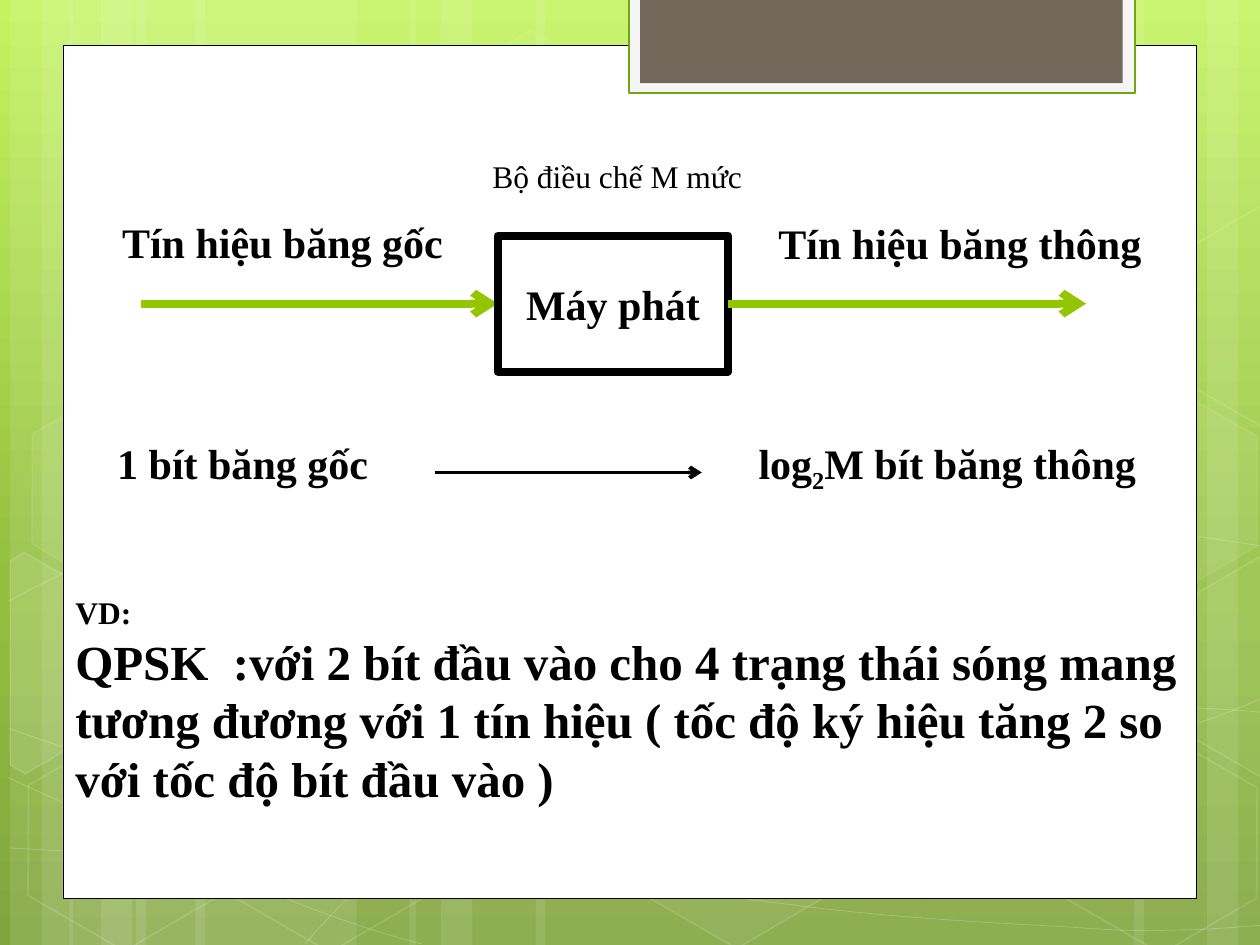
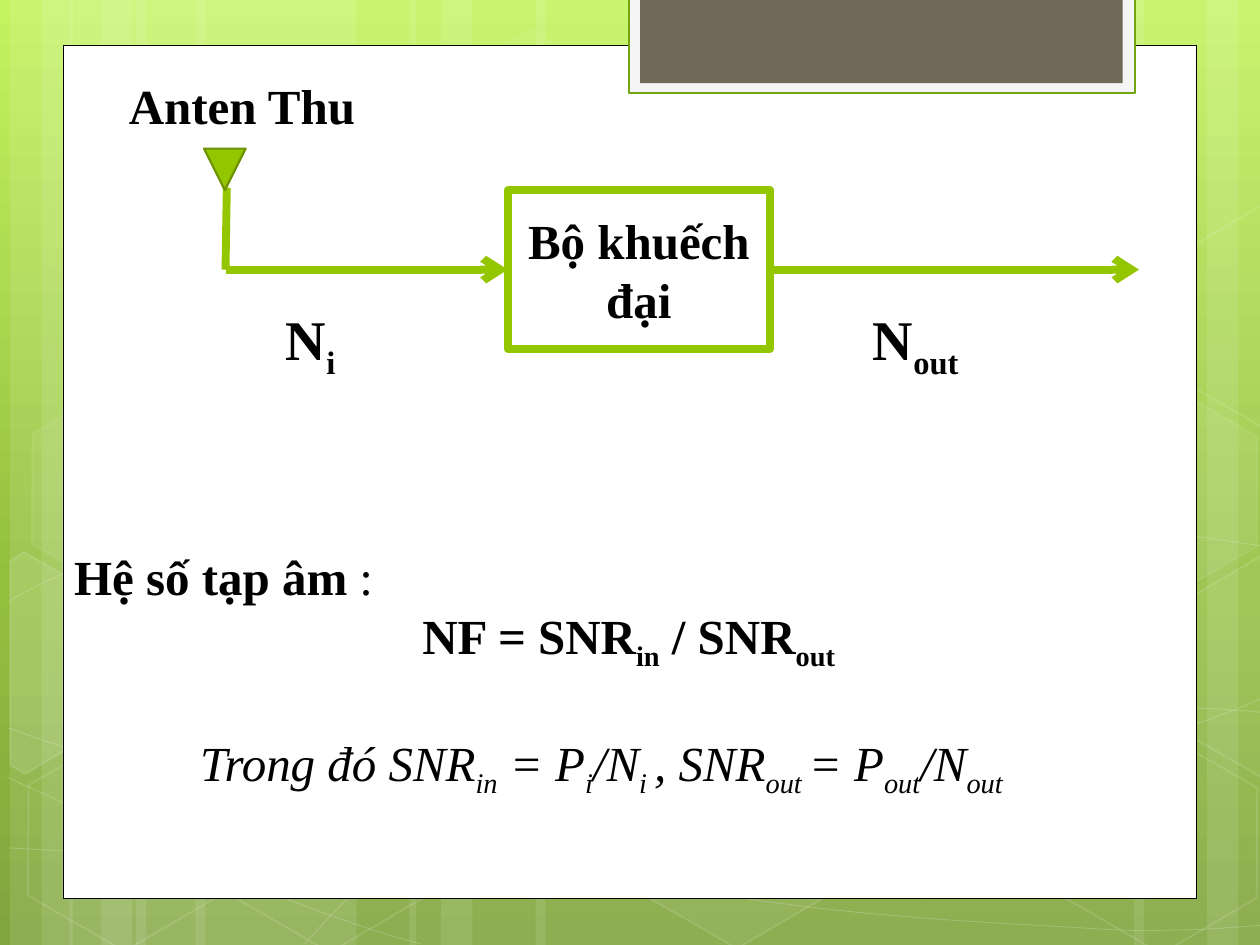
from copy import deepcopy
from math import cos, radians, sin

from pptx import Presentation
from pptx.dml.color import RGBColor
from pptx.enum.shapes import MSO_CONNECTOR, MSO_SHAPE
from pptx.enum.text import MSO_ANCHOR, PP_ALIGN
from pptx.oxml.ns import qn
from pptx.oxml.xmlchemy import OxmlElement
from pptx.util import Inches, Pt

RECT, HEX = MSO_SHAPE.RECTANGLE, MSO_SHAPE.HEXAGON
MERGE = MSO_SHAPE.FLOWCHART_MERGE
STRAIGHT = MSO_CONNECTOR.STRAIGHT
LEFT, CENTER = PP_ALIGN.LEFT, PP_ALIGN.CENTER
MIDDLE = MSO_ANCHOR.MIDDLE

FONT = "Times New Roman"
WHITE, BLACK, GREEN = "FFFFFF", "000000", "94C600"
SKY = [(0, "C3F35F"), (0.62, "93BF3F"), (1, "81A53E")]
TILT = 30

# left, width
BANDS = [
    (1.08, 1.75), (0.08, 0.5), (0.33, 0.83), (1.55, 1.75),
    (0.55, 0.5), (0.8, 0.83), (7.33, 1.75), (9.58, 0.5),
    (9, 0.83), (4.25, 3.08), (3.25, 0.5), (3.5, 0.83),
]
# start point, then two handles and an end point for each curve;
# three equal points make a straight piece
WAVES = [
    [(0.07, 6.73), (0.61, 6.76), (1.15, 6.79), (1.9, 6.78),
     (2.65, 6.77), (3.58, 6.75), (4.58, 6.65),
     (5.58, 6.55), (7, 6.36), (7.92, 6.17),
     (8.83, 5.98), (9.77, 5.68), (10.07, 5.51)],
    [(0.07, 4.77), (0.36, 4.61), (0.65, 4.46), (1.21, 4.31),
     (1.78, 4.16), (2.59, 3.94), (3.47, 3.87),
     (4.36, 3.8), (5.44, 3.79), (6.54, 3.87),
     (7.64, 3.95), (9.47, 4.26), (10.07, 4.34)],
    [(0.06, 6.17), (1.27, 6.72), (2.47, 7.27), (3.34, 7.49)],
    [(0.07, 5.78), (0.38, 5.89), (0.7, 6), (1.28, 6.16),
     (1.86, 6.31), (2.73, 6.56), (3.57, 6.73),
     (4.4, 6.9), (5.45, 7.08), (6.28, 7.18),
     (7.11, 7.29), (8, 7.33), (8.53, 7.36),
     (9.05, 7.4), (9.19, 7.38), (9.45, 7.38),
     (9.71, 7.37), (9.89, 7.35), (10.07, 7.34)],
    [(2.42, 7.49), (2.6, 7.29), (2.78, 7.09), (3.02, 6.91),
     (3.26, 6.73), (3.6, 6.53), (3.88, 6.39),
     (4.16, 6.25), (4.33, 6.19), (4.7, 6.09),
     (5.06, 5.99), (5.73, 5.85), (6.08, 5.78),
     (6.44, 5.71), (6.49, 5.71), (6.8, 5.69),
     (7.11, 5.66), (7.6, 5.63), (7.94, 5.62),
     (8.29, 5.61), (8.86, 5.62), (8.86, 5.62),
     (9.53, 5.62), (9.53, 5.62), (9.53, 5.62),
     (9.71, 5.63), (9.88, 5.64), (9.97, 5.65),
     (10.06, 5.66), (10.03, 5.65), (10.06, 5.66)],
]
# left, top, fill opacity, line opacity
CELLS = [
    (3.34, 0.36, 4, 8), (4.97, 5.89, 6, 12), (0.11, 5.91, 0, 12),
    (0.14, 3.12, 7, 8), (1.74, 5.92, 0, 12), (7.53, 4.53, 10, 12),
    (8.34, 5.93, 0, 12), (8.34, 3.14, 7, 8),
]
# cells cut by the slide edge: centre, fill opacity, corners
CUTS = [
    ((0.36, 5.35), 10, [(0.08, 4.45), (0.19, 4.38), (0.96, 4.82),
                        (0.95, 5.7), (0.2, 6.14), (0.08, 6.07)]),
    ((9.85, 5.2), 4, [(9.26, 4.85), (10.01, 4.41), (10.09, 4.46),
                      (10.09, 6.13), (10.02, 6.17), (9.26, 5.73)]),
    ((9.85, 2.41), 0, [(9.26, 2.07), (10.01, 1.63), (10.1, 1.68),
                       (10.09, 3.35), (10.02, 3.39), (9.26, 2.95)]),
]


def rgb(code):
    return RGBColor.from_string(code)


def fade(props, alpha):
    """Make the solid fill held by props partly transparent."""
    tag = OxmlElement("a:alpha")
    tag.set("val", str(alpha * 1000))
    props.find(qn("a:solidFill"))[0].append(tag)


def paint(shape, fill=None, line=None, width=1, alpha=100, edge=100):
    """Set fill and line; alpha and edge are their opacities in percent."""
    shape.shadow.inherit = False
    props = shape.element.spPr
    if fill and alpha:
        shape.fill.solid()
        shape.fill.fore_color.rgb = rgb(fill)
        if alpha < 100:
            fade(props, alpha)
    else:
        shape.fill.background()
    if line:
        shape.line.color.rgb = rgb(line)
        shape.line.width = Pt(width)
        if edge < 100:
            fade(props.find(qn("a:ln")), edge)
    else:
        shape.line.fill.background()
    return shape


def form(slide, kind, at, *args, **style):
    shape = slide.shapes.add_shape(kind, *map(Inches, at))
    return paint(shape, *args, **style)


def trace(slide, points, close, **style):
    spots = [(Inches(x), Inches(y)) for x, y in points]
    pen = slide.shapes.build_freeform(*spots[0], scale=1.0)
    pen.add_line_segments(spots[1:], close=close)
    return paint(pen.convert_to_shape(), **style)


def wave(slide, nodes):
    """Draw the nodes, then join each three steps into one curve."""
    shape = trace(slide, nodes, False, line=WHITE, width=0.5, edge=20)
    steps = list(shape.element.iter(qn("a:lnTo")))
    for k in range(0, len(steps), 3):
        first, *rest = steps[k:k + 3]
        if len(set(nodes[k + 1:k + 4])) > 1:
            curve = OxmlElement("a:cubicBezTo")
            first.addprevious(curve)
            for step in (first, *rest):
                curve.append(step[0])
            rest.append(first)
        for step in rest:
            step.getparent().remove(step)


def cut(slide, mid, alpha, corners):
    """Draw a tilted cell from its corners as they lie on the slide."""
    c, s = cos(radians(TILT)), sin(radians(TILT))
    flat = []
    for x, y in corners + corners[:1]:
        dx, dy = x - mid[0], y - mid[1]
        flat.append((mid[0] + dx * c + dy * s, mid[1] - dx * s + dy * c))
    cell = trace(slide, flat, True, fill=WHITE, line=WHITE,
                 alpha=alpha, edge=12)
    cell.rotation = TILT


def wire(slide, start, end, color=GREEN, width=4.5, head=True):
    link = slide.shapes.add_connector(
        STRAIGHT, *map(Inches, (*start, *end)))
    link.line.color.rgb = rgb(color)
    link.line.width = Pt(width)
    props = link.element.spPr
    if head:
        tip = OxmlElement("a:tailEnd")
        tip.set("type", "arrow")
        props.find(qn("a:ln")).append(tip)
    props.append(OxmlElement("a:effectLst"))
    return link


def write(para, runs, size, align=LEFT):
    """Add (text, marks) runs; marks: b bold, i italic, s subscript."""
    para.alignment = align
    for text, marks in runs:
        run = para.add_run()
        run.text = text
        font = run.font
        font.name, font.size = FONT, Pt(size)
        font.color.rgb = rgb(BLACK)
        font.bold, font.italic = "b" in marks, "i" in marks
        if "s" in marks:
            run.font._element.set("baseline", "-25000")


def label(slide, at, runs, size, align=LEFT):
    frame = slide.shapes.add_textbox(*map(Inches, at)).text_frame
    frame.word_wrap = True
    write(frame.paragraphs[0], runs, size, align)
    return frame


def block(slide, at, text, size, line):
    shape = form(slide, RECT, at, WHITE, line, 4.5)
    frame = shape.text_frame
    frame.word_wrap = True
    frame.vertical_anchor = MIDDLE
    write(frame.paragraphs[0], [(text, "b")], size, CENTER)
    return shape


def sky(slide):
    """Fill the background with the three-stop gradient."""
    fill = slide.background.fill
    fill.gradient()
    fill.gradient_angle = 270
    first = fill.gradient_stops[0]._gs
    first.addnext(deepcopy(first))
    for stop, (pos, color) in zip(fill.gradient_stops, SKY):
        stop.position = pos
        stop.color.rgb = rgb(color)


def base(deck):
    """Add a slide with the shared backdrop, page and tab."""
    slide = deck.slides.add_slide(deck.slide_layouts[6])
    sky(slide)
    for left, width in BANDS:
        form(slide, RECT, (left, 0, width, 7.5), WHITE, alpha=10)
    for nodes in WAVES:
        wave(slide, nodes)
    for left, top, alpha, edge in CELLS:
        cell = form(slide, HEX, (left, top, 1.75, 1.52), WHITE, WHITE,
                    alpha=alpha, edge=edge)
        cell.adjustments[0] = 0.285
        cell.rotation = TILT
    for mid, alpha, corners in CUTS:
        cut(slide, mid, alpha, corners)
    form(slide, RECT, (0.5, 0.36, 9, 6.77), WHITE, BLACK, 0.5)
    form(slide, RECT, (4.99, -0.02, 4.02, 0.76), "F5F5F5", "74A510", 1.25)
    form(slide, RECT, (5.08, -0.02, 3.83, 0.68), "71685A")
    return slide


def sender(deck):
    slide = base(deck)
    feed = wire(slide, (1.12, 2.41), (3.95, 2.41))
    box = block(slide, (3.95, 1.87, 1.83, 1.08), "Máy phát", 24, BLACK)
    feed.end_connect(box, 1)
    wire(slide, (5.78, 2.41), (8.62, 2.41)).begin_connect(box, 3)

    rate = label(slide, (0.58, 3.42, 8.92, 0.5), [], 24)
    rate.margin_left = Inches(0.35)
    para = rate.paragraphs[0]
    tabs = OxmlElement("a:tabLst")
    tab = OxmlElement("a:tab")
    tab.set("pos", str(Inches(5.09)))
    tab.set("algn", "l")
    tabs.append(tab)
    para._p.get_or_add_pPr().append(tabs)
    write(para, [("1 bít băng gốc\tlog", "b"), ("2", "bs"),
                 ("M bít băng thông", "b")], 24)
    wire(slide, (3.45, 3.75), (5.57, 3.75), BLACK, 2.25)

    label(slide, (0.87, 1.67, 3.08, 0.5), [("Tín hiệu băng gốc", "b")], 24)
    label(slide, (6.08, 1.68, 3.33, 0.5), [("Tín hiệu băng thông", "b")], 24)
    label(slide, (3.81, 1.2, 3.67, 0.4), [("Bộ điều chế M mức", "")], 18)
    note = label(slide, (0.5, 4.66, 9, 1.82), [("VD:", "b")], 18)
    write(note.add_paragraph(), [(
        "QPSK  :với 2 bít đầu vào cho 4 trạng thái sóng mang tương đương "
        "với 1 tín hiệu ( tốc độ ký hiệu tăng 2 so với tốc độ bít đầu vào )",
        "b")], 28)


def noise(deck):
    slide = base(deck)
    feed = wire(slide, (1.79, 2.14), (4.03, 2.14))
    box = block(slide, (4.03, 1.51, 2.08, 1.26), "Bộ khuếch đại", 28, GREEN)
    feed.end_connect(box, 1)
    wire(slide, (6.11, 2.14), (9.04, 2.14)).begin_connect(box, 3)
    wire(slide, (1.79, 2.14), (1.8, 1.49), head=False)
    form(slide, MERGE, (1.62, 1.18, 0.33, 0.33), GREEN, "6D9200", 1.25)

    label(slide, (0.71, 0.55, 2.42, 0.57), [("Anten Thu", "b")], 28, CENTER)
    for left, width, sub in [(2.17, 0.75, "i"), (6.83, 1.17, "out")]:
        label(slide, (left, 2.37, width, 0.64), [("N", "b"), (sub, "bs")], 32)

    ratio = label(slide, (0.49, 4.29, 9, 1.99),
                  [("Hệ số tạp âm", "b"), (" :", "")], 28)
    write(ratio.add_paragraph(), [
        ("NF = SNR", "b"), ("in", "bs"), (" / SNR", "b"), ("out", "bs"),
    ], 28, CENTER)
    where = ratio.add_paragraph()
    where.space_before = Pt(34)
    where._p.get_or_add_pPr().set("marL", str(Inches(1)))
    write(where, [
        ("Trong đó SNR", "i"), ("in", "is"), (" = P", "i"), ("i", "is"),
        ("/N", "i"), ("i ", "is"), (", SNR", "i"), ("out ", "is"),
        ("= P", "i"), ("out", "is"), ("/N", "i"), ("out", "is"),
    ], 28)


def main():
    deck = Presentation()
    deck.slide_width, deck.slide_height = Inches(10), Inches(7.5)
    sender(deck)
    noise(deck)
    deck.save("out.pptx")


if __name__ == "__main__":
    main()
